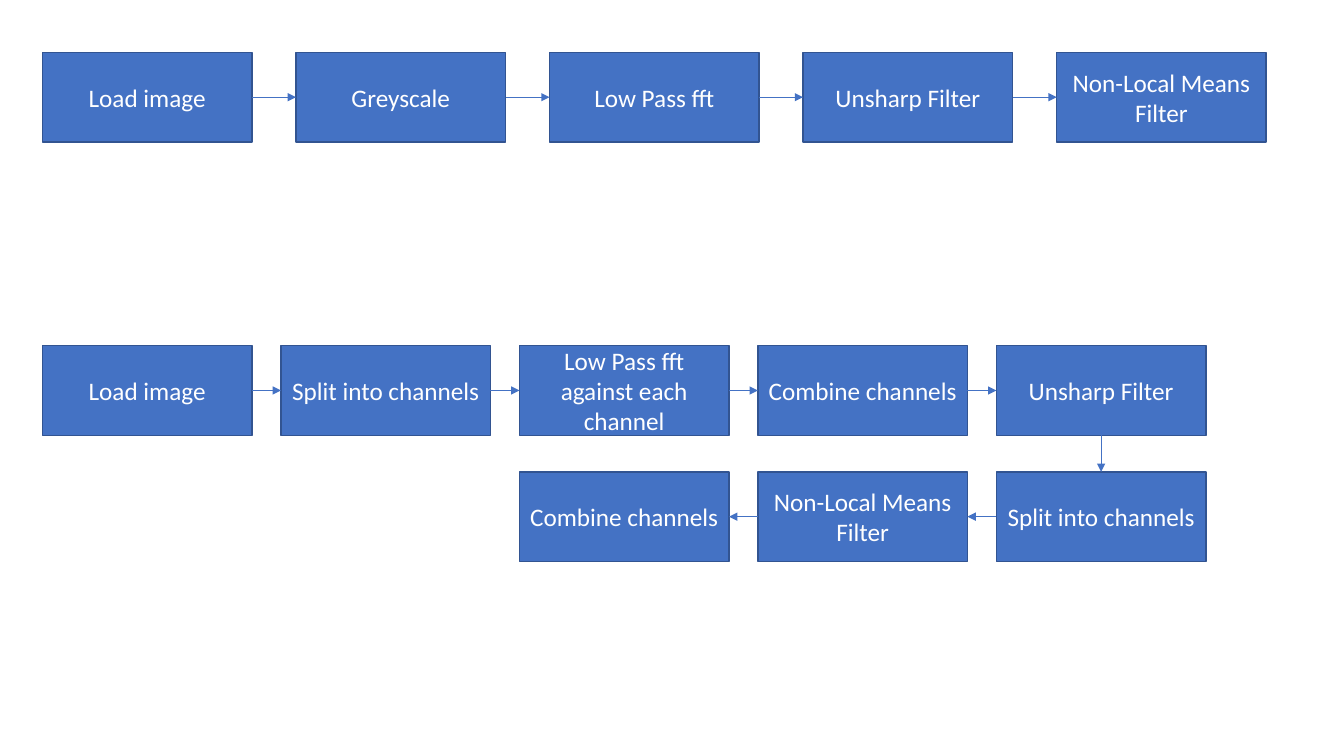
from itertools import pairwise

from pptx import Presentation
from pptx.dml.color import RGBColor
from pptx.enum.shapes import MSO_CONNECTOR as CONN, MSO_SHAPE as SHAPE
from pptx.enum.text import MSO_ANCHOR as ANCHOR, PP_ALIGN as ALIGN
from pptx.oxml.ns import qn
from pptx.util import Cm, Pt

BLUE = RGBColor(0x44, 0x72, 0xC4)
DARK_BLUE = RGBColor(0x32, 0x54, 0x91)
WHITE = RGBColor(0xFF, 0xFF, 0xFF)

LEFT = 1.07
BOX_W, BOX_H = 5.28, 2.26
GREY_PITCH, COLOUR_PITCH = 6.39, 6.01
GREY_TOP, COLOUR_TOP, RETURN_TOP = 1.32, 8.71, 11.89

# Connection sites of a rectangle
TOP_SITE, LEFT_SITE, BOTTOM_SITE, RIGHT_SITE = range(4)

GREY_STEPS = ["Load image", "Greyscale", "Low Pass fft", "Unsharp Filter",
              "Non-Local Means Filter"]
COLOUR_STEPS = ["Load image", "Split into channels",
                "Low Pass fft against each channel", "Combine channels",
                "Unsharp Filter"]
RETURN_STEPS = ["Split into channels", "Non-Local Means Filter",
                "Combine channels"]


def add_box(slide, text, left, top):
    """Add one step box, placed in centimetres."""
    sp = slide.shapes.add_shape(SHAPE.RECTANGLE, Cm(left), Cm(top),
                                Cm(BOX_W), Cm(BOX_H))
    sp.shadow.inherit = False
    sp.fill.solid()
    sp.fill.fore_color.rgb = BLUE
    sp.line.color.rgb = DARK_BLUE
    sp.line.width = Pt(1)
    tf = sp.text_frame
    tf.word_wrap = True
    tf.vertical_anchor = ANCHOR.MIDDLE
    p = tf.paragraphs[0]
    p.text = text
    p.alignment = ALIGN.CENTER
    p.font.name = "Calibri"
    p.font.size = Pt(18)
    p.font.color.rgb = WHITE
    return sp


def add_arrow(slide, start, start_site, end, end_site):
    """Join two boxes with a thin arrow glued to their sites."""
    cxn = slide.shapes.add_connector(CONN.STRAIGHT, 0, 0, 0, 0)
    cxn.begin_connect(start, start_site)
    cxn.end_connect(end, end_site)
    cxn.line.color.rgb = BLUE
    cxn.line.width = Pt(0.5)
    ln = cxn.line._get_or_add_ln()
    ln.append(ln.makeelement(qn("a:tailEnd"), {"type": "triangle"}))
    ln.addnext(ln.makeelement(qn("a:effectLst"), {}))


def add_row(slide, steps, left, top, pitch):
    """Add a row of linked boxes; a negative pitch runs right to left."""
    boxes = [add_box(slide, text, left + i * pitch, top)
             for i, text in enumerate(steps)]
    sites = (RIGHT_SITE, LEFT_SITE) if pitch > 0 else (LEFT_SITE, RIGHT_SITE)
    for start, end in pairwise(boxes):
        add_arrow(slide, start, sites[0], end, sites[1])
    return boxes


def main():
    """Build the slide with both filter pipelines."""
    prs = Presentation()
    prs.slide_width, prs.slide_height = Cm(33.87), Cm(19.05)
    slide = prs.slides.add_slide(prs.slide_layouts[6])

    add_row(slide, GREY_STEPS, LEFT, GREY_TOP, GREY_PITCH)

    colour_row = add_row(slide, COLOUR_STEPS, LEFT, COLOUR_TOP, COLOUR_PITCH)
    last_left = LEFT + (len(COLOUR_STEPS) - 1) * COLOUR_PITCH
    return_row = add_row(slide, RETURN_STEPS, last_left, RETURN_TOP,
                         -COLOUR_PITCH)
    add_arrow(slide, colour_row[-1], BOTTOM_SITE, return_row[0], TOP_SITE)

    prs.save("out.pptx")


main()
